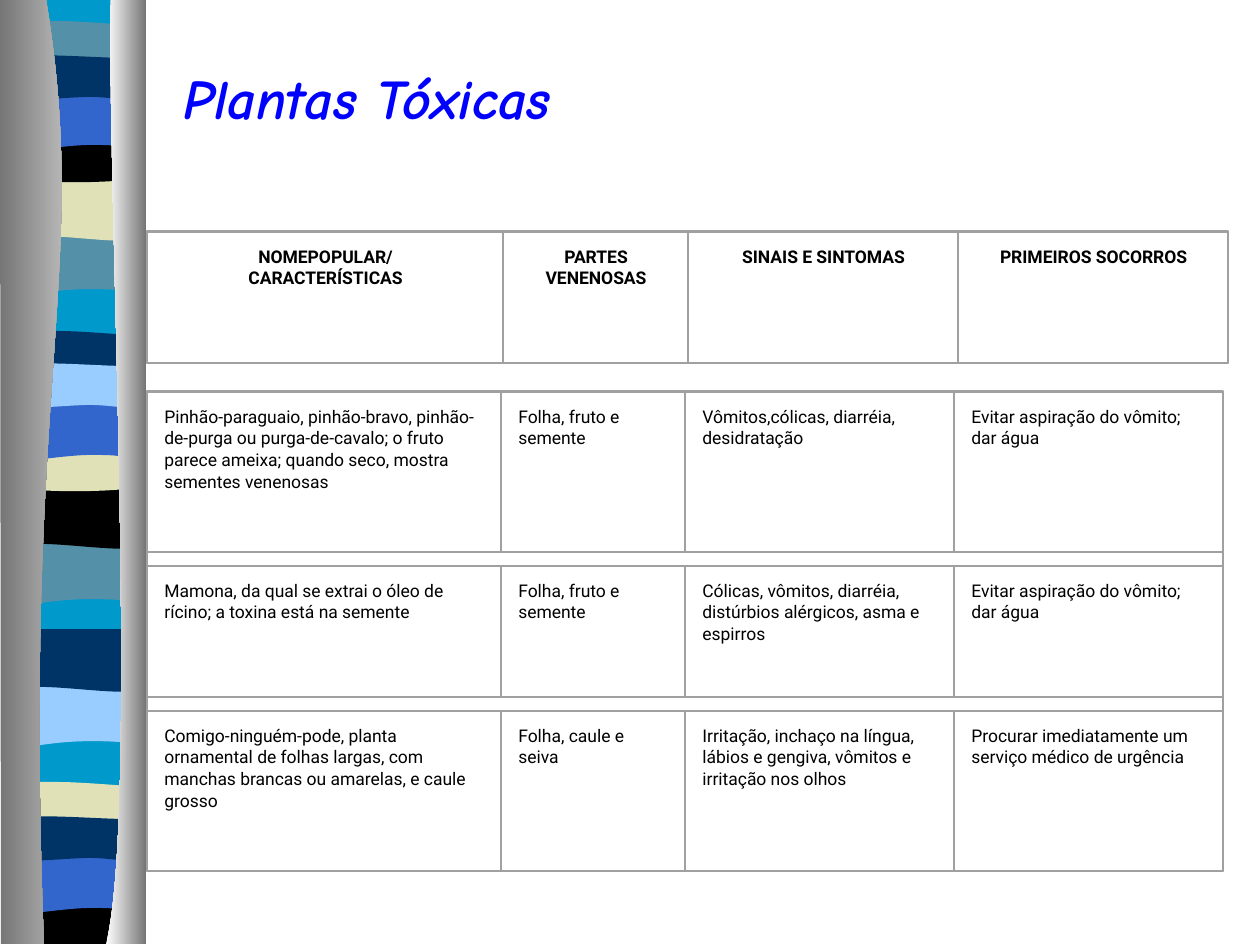
from lxml.etree import Element
from pptx import Presentation
from pptx.dml.color import RGBColor
from pptx.enum.shapes import MSO_SHAPE as Shape
from pptx.enum.text import MSO_ANCHOR as Anchor, PP_ALIGN as Align
from pptx.oxml.ns import qn
from pptx.util import Emu, Pt

PX = 914400 / 126
GREY, BLACK, SKY, TEAL = "A0A0A0", "000000", "0099CC", "5490A8"
NAVY, BLUE, PALE, SAND = "003366", "3366CC", "99CCFF", "E1E1B7"

# Two numbers make a straight step, six a Bézier step.
CREST = [(136, 0), (136, 59), (42, 49, 23, 69, 0, 59), (0, 0)]
SWELL = [(136, 0), (136, 60), (113, 69, 42, 52, 0, 60), (0, 0)]
RIPPLE = [(136, 6), (136, 36), (113, 42, 23, 42, 0, 36), (0, 6),
          (8, 0, 29, 1, 52, 1), (74, 1, 118, 5, 136, 6)]
BOWL = [(136, 0), (136, 41), (113, 48, 23, 48, 0, 41), (0, 0),
        (83, 6, 107, 0, 136, 0)]
FOOT = [(136, 0), (136, 47), (0, 47), (0, 0), (83, 6, 107, 0, 136, 0)]
ARCH = [(136, 0), (136, 59), (115, 52, 106, 52, 83, 52),
        (60, 52, 20, 59, 0, 59), (0, 0)]
PILLOW = [(136, 6), (136, 45), (127, 51, 106, 45, 83, 45),
          (60, 45, 14, 51, 0, 45), (0, 6), (19, 0, 92, 6, 115, 6),
          (138, 6, 131, 6, 136, 6)]
BASE = [(136, -1), (136, 941), (0, 941), (0, -1)]
LEFT_EDGE = [(46, -1), (91, 272, 22, 373, 44, 944), (1, 944), (0, -1)]
RIGHT_EDGE = [(111, -1), (106, 158, 140, 814, 106, 944), (146, 944), (146, 0)]

BANDS = [(BASE, 0, SKY),
         (CREST, 233, TEAL), (SWELL, 178, SAND), (RIPPLE, 20, TEAL),
         (BOWL, 136, BLACK), (ARCH, 93, BLUE), (PILLOW, 52, NAVY),
         (CREST, 543, TEAL), (SWELL, 486, BLACK), (RIPPLE, 330, NAVY),
         (BOWL, 445, SAND), (ARCH, 403, BLUE), (PILLOW, 360, PALE),
         (CREST, 685, PALE), (SWELL, 629, NAVY), (RIPPLE, 781, SAND),
         (FOOT, 897, BLACK), (ARCH, 856, BLUE), (PILLOW, 813, NAVY)]

HEADER = [["NOMEPOPULAR/\nCARACTERÍSTICAS", "PARTES VENENOSAS",
           "SINAIS E SINTOMAS", "PRIMEIROS SOCORROS"]]
PLANTS = [
    ["Pinhão-paraguaio, pinhão-bravo, pinhão-de-purga ou purga-de-cavalo; "
     "o fruto parece ameixa; quando seco, mostra sementes venenosas",
     "Folha, fruto e semente", "Vômitos,cólicas, diarréia, desidratação",
     "Evitar aspiração do vômito; dar água"],
    ["Mamona, da qual se extrai o óleo de rícino; a toxina está na semente",
     "Folha, fruto e semente",
     "Cólicas, vômitos, diarréia, distúrbios alérgicos, asma e espirros",
     "Evitar aspiração do vômito; dar água"],
    ["Comigo-ninguém-pode, planta ornamental de folhas largas, com manchas "
     "brancas ou amarelas, e caule grosso", "Folha, caule e seiva",
     "Irritação, inchaço na língua, lábios e gengiva, vômitos e irritação "
     "nos olhos", "Procurar imediatamente um serviço médico de urgência"]]


def px(n):
    """Turn px into EMU."""
    return Emu(round(n * PX))


def rgb(value):
    """Turn a hex string into a colour."""
    return RGBColor.from_string(value)


def set_attrs(obj, values):
    """Set each attribute of an object from a dict."""
    for name, value in values.items():
        setattr(obj, name, value)


def bend(sp, steps):
    """Join the three straight steps of each Bézier step into a curve."""
    lines = iter(list(sp._element.iter(qn("a:lnTo"))))
    for step in steps[1:]:
        first = next(lines)
        if len(step) == 2:
            continue
        curve = Element(qn("a:cubicBezTo"))
        first.addprevious(curve)
        for line in (first, next(lines), next(lines)):
            curve.append(line[0])
            line.getparent().remove(line)


def add_outline(s, x, y, steps, *colors):
    """Draw an outline with a plain fill or a left-to-right gradient."""
    pts = [(px(x + step[i]), px(y + step[i + 1]))
           for step in steps for i in range(0, len(step), 2)]
    builder = s.shapes.build_freeform(*pts[0], scale=1.0)
    builder.add_line_segments(pts[1:], close=True)
    sp = builder.convert_to_shape()
    bend(sp, steps)
    sp.shadow.inherit = False
    sp.line.fill.background()
    if len(colors) == 1:
        sp.fill.solid()
        sp.fill.fore_color.rgb = rgb(colors[0])
        return
    sp.fill.gradient()
    sp.fill.gradient_angle = 0
    for stop, color in zip(sp.fill.gradient_stops, colors):
        stop.color.rgb = rgb(color)


def add_ribbon(s, x, y):
    """Draw the striped ribbon between its two shaded edges."""
    for steps, top, color in BANDS:
        add_outline(s, x + 7, y + top, steps, color)
    add_outline(s, x, y, LEFT_EDGE, "767676", "D3D3D3")
    add_outline(s, x, y, RIGHT_EDGE, "FFFFFF", "767676")


def add_title(s, text, x, y, w, h):
    """Place and format the title placeholder."""
    sp = s.shapes.title
    set_attrs(sp, dict(left=px(x), top=px(y), width=px(w), height=px(h)))
    tf = sp.text_frame
    tf.text = text
    set_attrs(tf, dict(word_wrap=False, vertical_anchor=Anchor.TOP))
    p = tf.paragraphs[0]
    p.alignment = Align.LEFT
    font = p.runs[0].font
    set_attrs(font, dict(name="Comic Neue", size=Pt(32), bold=True, italic=True))
    font.color.rgb = rgb("0000FF")


def add_frame(s, x, y, w, h, weight):
    """Draw an unfilled grey rectangle."""
    sp = s.shapes.add_shape(Shape.RECTANGLE, px(x), px(y), px(w), px(h))
    sp.shadow.inherit = False
    sp.fill.background()
    sp.line.color.rgb = rgb(GREY)
    sp.line.width = Pt(weight)


def add_cell(s, x, y, w, h, text, bold):
    """Write the text of a cell and frame it."""
    box = s.shapes.add_textbox(px(x + 5), px(y + 7), px(w - 9), px(h - 15))
    tf = box.text_frame
    tf.word_wrap = True
    tf.text = text
    for p in tf.paragraphs:
        set_attrs(p, dict(alignment=Align.CENTER if bold else Align.LEFT,
                          line_spacing=1.03))
        font = p.runs[0].font
        set_attrs(font, dict(name="Roboto", size=Pt(10), bold=bold))
        font.color.rgb = rgb(BLACK)
    add_frame(s, x, y, w, h, 0)


def add_grid(s, x, y, col_widths, row_heights, rows, gap=14, bold=False):
    """Draw rows of cells, a gap apart, inside one outer frame."""
    top = y + 1
    for texts, h in zip(rows, row_heights):
        left = x
        for text, w in zip(texts, col_widths):
            add_cell(s, left, top, w, h, text, bold)
            left += w
        top += h + gap
    add_frame(s, x, y, sum(col_widths), top - gap - y, 0.88)


def main():
    """Build the slide and save it."""
    prs = Presentation()
    set_attrs(prs, dict(slide_width=px(1260), slide_height=px(945)))
    s = prs.slides.add_slide(prs.slide_layouts[5])
    add_ribbon(s, 0, 0)
    add_grid(s, 147, 231, [356, 185, 270, 270], [131], HEADER, bold=True)
    add_grid(s, 147, 391, [354, 184, 269, 269], [160, 131, 160], PLANTS)
    add_title(s, "Plantas Tóxicas", 171, 57, 397, 81)
    prs.save("out.pptx")


if __name__ == "__main__":
    main()
